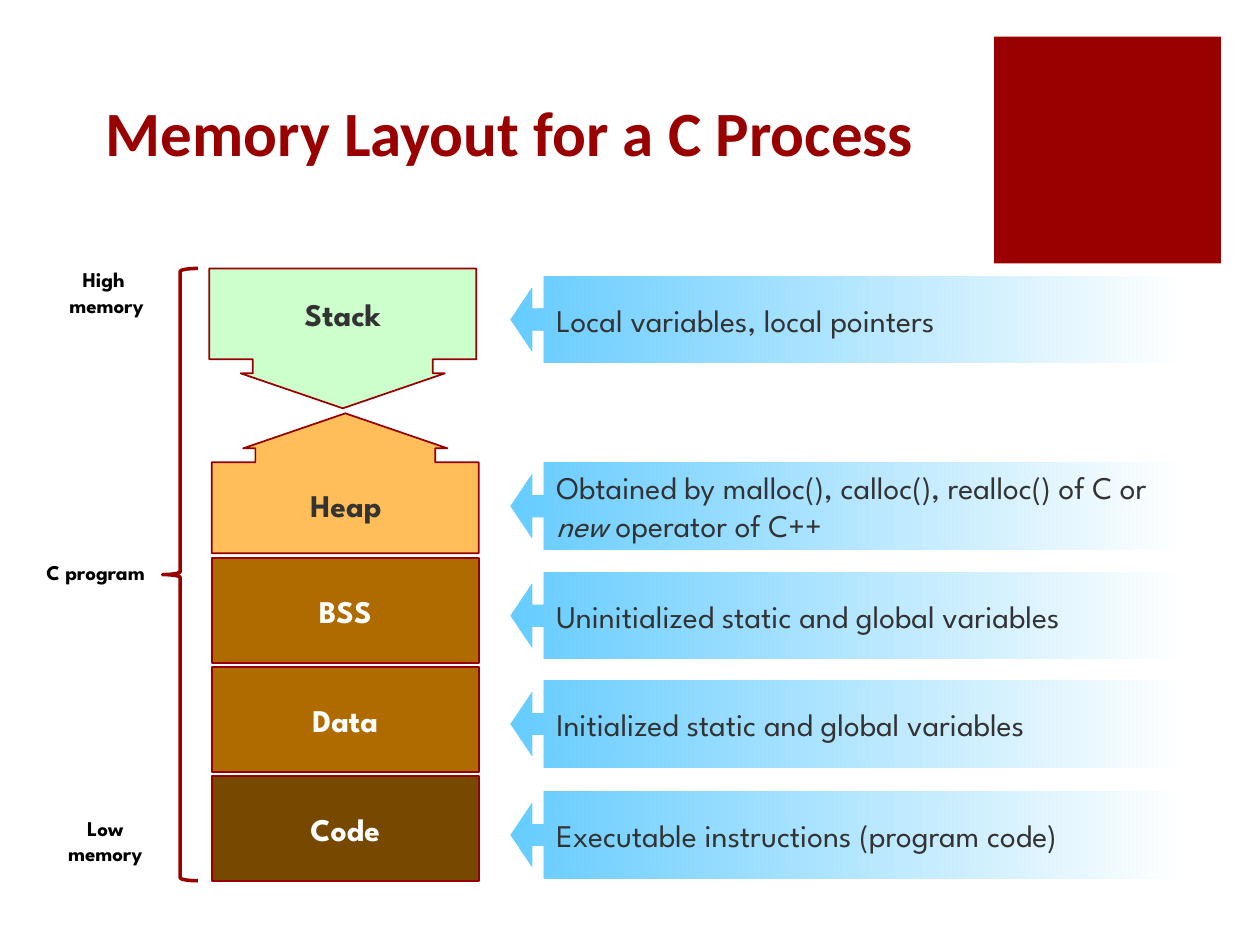
import pptx
import pptx.dml.color
import pptx.enum.shapes
import pptx.enum.text
import pptx.util

Pt = pptx.util.Pt
SHAPE = pptx.enum.shapes.MSO_SHAPE
ANCHOR = pptx.enum.text.MSO_ANCHOR
ALIGN = pptx.enum.text.PP_ALIGN
FONT = "League Spartan"
DARK_RED, BORDER, GREY, WHITE = "990000", "960000", "333333", "FFFFFF"


def rgb(color):
    """Turn a hex string into a colour."""
    return pptx.dml.color.RGBColor.from_string(color)


def write(holder, lines, size, color, bold=False, align=ALIGN.CENTER,
          anchor=ANCHOR.MIDDLE, wrap=True, font=FONT):
    """Write lines, each a list of (text, italic) runs, into a holder."""
    frame = holder.text_frame
    frame.word_wrap = wrap
    frame.vertical_anchor = anchor
    for index, line in enumerate(lines):
        paragraph = frame.add_paragraph() if index else frame.paragraphs[0]
        paragraph.alignment = align
        for text, italic in line:
            run = paragraph.add_run()
            run.text = text
            run.font.name = font
            run.font.size = Pt(size)
            run.font.bold = bold
            run.font.italic = italic
            run.font.color.rgb = rgb(color)


def add_block(slide, kind, box, fill=None, line=None, width=1, adjustments=()):
    """Add a preset shape with its fill, outline and adjustments."""
    block = slide.shapes.add_shape(kind, *map(Pt, box))
    block.shadow.inherit = False
    for index, value in enumerate(adjustments):
        block.adjustments[index] = value
    if fill:
        block.fill.solid()
        block.fill.fore_color.rgb = rgb(fill)
    else:
        block.fill.background()
    if line:
        block.line.color.rgb = rgb(line)
        block.line.width = Pt(width)
    else:
        block.line.fill.background()
    return block


def add_header(slide, left, top):
    """Place the title and the red corner square."""
    add_block(slide, SHAPE.RECTANGLE, (left + 514.8, top - 15.1, 129.6, 129.6), DARK_RED)
    title = slide.shapes.add_textbox(Pt(left), Pt(top), Pt(512.6), Pt(64.1))
    write(title, [[("Memory Layout for a C Process", False)]], 36, DARK_RED, True,
          ALIGN.LEFT, ANCHOR.BOTTOM, font="Calibri")


def add_segments(slide, left, top):
    """Stack the memory segments from high to low addresses."""
    width, callout_height = 152.6, 79.9
    callout = (1.286, 0.73, 0.25, 0.65)
    stack = add_block(slide, SHAPE.DOWN_ARROW_CALLOUT, (left - 1.4, top, width, callout_height),
                      "CCFFCC", BORDER, adjustments=callout)
    write(stack, [[("Stack", False)]], 18, GREY, True)
    heap = add_block(slide, SHAPE.DOWN_ARROW_CALLOUT, (left, top + 82.8, width, callout_height),
                     "FFBE5A", BORDER, adjustments=callout)
    heap.rotation = 180
    heap_label = slide.shapes.add_textbox(Pt(left + 20.9), Pt(top + 115.2), Pt(111.6), Pt(39.6))
    write(heap_label, [[("Heap", False)]], 18, GREY, True)
    segments = [("BSS", "B06B00"), ("Data", "B06B00"), ("Code", "764800")]
    for row, (name, fill) in enumerate(segments):
        segment = add_block(slide, SHAPE.RECTANGLE,
                            (left, top + 165.6 + 62.25 * row, width, 59.8), fill, BORDER)
        write(segment, [[(name, False)]], 18, WHITE, True)


def add_descriptions(slide, left, top):
    """Point a fading callout at each segment and say what it holds."""
    descriptions = [
        (0, [("Local variables, local pointers", False)]),
        (106.6, [("Obtained by malloc(), calloc(), realloc() of C or ", False),
                 ("new", True), (" operator of C++", False)]),
        (169.2, [("Uninitialized static and global variables", False)]),
        (231.1, [("Initialized static and global variables", False)]),
        (294.5, [("Executable instructions (program code)", False)]),
    ]
    for offset, runs in descriptions:
        callout = add_block(slide, SHAPE.LEFT_ARROW_CALLOUT, (left, top + offset, 385.2, 49.9),
                            WHITE, adjustments=(0.25, 0.366, 0.25, 0.95))
        callout.fill.gradient()
        callout.fill.gradient_angle = 0
        for stop, color in zip(callout.fill.gradient_stops, ("66CCFF", WHITE)):
            stop.color.rgb = rgb(color)
        write(callout, [runs], 18, GREY, align=ALIGN.LEFT)


def add_address_scale(slide, left, top):
    """Brace the whole program and label its two ends and middle."""
    add_block(slide, SHAPE.LEFT_BRACE, (left + 73.5, top, 20.2, 349.9), line=DARK_RED, width=2)
    labels = [
        (["C program"], 0, 162.7, 79.2, 21.8, ALIGN.LEFT),
        (["High ", "memory"], 9.4, -4.4, 64.1, 36.3, ALIGN.CENTER),
        (["Low", "memory"], 8.7, 308.9, 64.1, 36.3, ALIGN.CENTER),
    ]
    for lines, dx, dy, width, height, align in labels:
        label = slide.shapes.add_textbox(Pt(left + dx), Pt(top + dy), Pt(width), Pt(height))
        write(label, [[(line, False)] for line in lines], 12, "000000", True, align,
              ANCHOR.TOP, False)
        label.text_frame.auto_size = pptx.enum.text.MSO_AUTO_SIZE.SHAPE_TO_FIT_TEXT


def main():
    """Build the slide and save it."""
    deck = pptx.Presentation()
    deck.slide_width, deck.slide_height = Pt(720), Pt(540)
    slide = deck.slides.add_slide(deck.slide_layouts[6])
    add_header(slide, 53.3, 36)
    add_segments(slide, 121, 153.4)
    add_descriptions(slide, 291.6, 157.7)
    add_address_scale(slide, 19.4, 153.4)
    deck.save("out.pptx")


if __name__ == "__main__":
    main()
